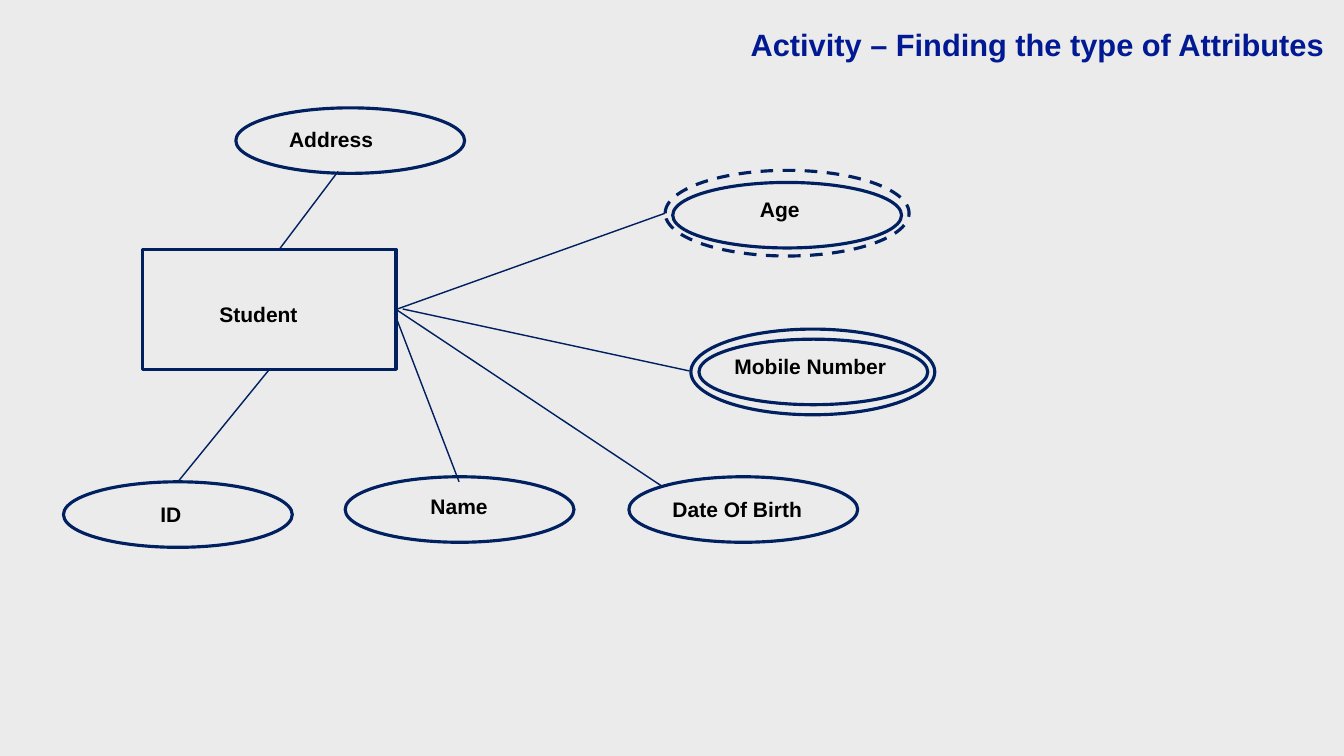
"""Build the slide that shows a student entity and its attribute types."""
from pptx import Presentation
from pptx.dml.color import RGBColor
from pptx.enum.dml import MSO_LINE
from pptx.enum.shapes import MSO_CONNECTOR as Link, MSO_SHAPE as Shape
from pptx.enum.text import MSO_ANCHOR as Anchor, PP_ALIGN as Align
from pptx.util import Pt
from lxml.etree import SubElement
from pptx.oxml.ns import qn

PX = 9144
PAPER = RGBColor(0xEB, 0xEB, 0xEB)
NAVY = RGBColor(0x00, 0x20, 0x60)
BLUE = RGBColor(0x01, 0x19, 0x93)
BLACK = RGBColor(0x00, 0x00, 0x00)
INSET = 6
OVAL = (454, 130)
OUTER_OVAL = (484, 170)
LABEL_HEIGHT = 62


def write_text(box, text, align, size, color, frame_format):
    frame = box.text_frame
    frame_values = {"word_wrap": True, "margin_left": INSET * PX, "margin_right": INSET * PX,
                    "margin_top": INSET * PX, "margin_bottom": INSET * PX, **frame_format}
    for name, value in frame_values.items():
        setattr(frame, name, value)
    para = frame.paragraphs[0]
    para.alignment = align
    span = para.add_run()
    span.text = text
    for name, value in {"name": "Arial", "size": Pt(size), "bold": True}.items():
        setattr(span.font, name, value)
    span.font.color.rgb = color


def add_outline(kind, left, top, width, height):
    outline = page.shapes.add_shape(kind, left * PX, top * PX, width * PX, height * PX)
    outline.shadow.inherit = False
    outline.fill.background()
    outline.line.color.rgb = NAVY
    outline.line.width = Pt(4.5)
    return outline


deck = Presentation()
deck.slide_width, deck.slide_height = 2667 * PX, 1500 * PX
page = deck.slides.add_slide(deck.slide_layouts[5])
page.background.fill.solid()
page.background.fill.fore_color.rgb = PAPER

title = page.shapes.title
for name, value in {"left": 973, "top": 41, "width": 1662, "height": 159}.items():
    setattr(title, name, value * PX)
write_text(title, "Activity – Finding the type of Attributes", Align.RIGHT, 44, BLUE,
           {"vertical_anchor": Anchor.TOP, "margin_top": 10 * PX})

student = add_outline(Shape.FLOWCHART_PROCESS, 283, 495, 503, 238)
derived_ring = add_outline(Shape.OVAL, 1320, 338, *OUTER_OVAL)
derived_ring.line.dash_style = MSO_LINE.DASH
multivalued_ring = add_outline(Shape.OVAL, 1371, 653, *OUTER_OVAL)

attribute_ovals = [(1387, 673), (1248, 946), (685, 946), (126, 956), (468, 214), (1335, 362)]
for left, top in attribute_ovals:
    add_outline(Shape.OVAL, left, top, *OVAL)

RIGHT_SIDE, BOTTOM_SIDE = 3, 2
links = [
    ((786, 614), (1320, 423), RIGHT_SIDE),
    ((799, 613), (1368, 736), None),
    ((786, 614), (1314, 965), RIGHT_SIDE),
    ((783, 622), (911, 956), None),
    ((535, 733), (353, 956), BOTTOM_SIDE),
    ((671, 340), (554, 495), None),
]
for start, end, side in links:
    link = page.shapes.add_connector(Link.STRAIGHT, *(value * PX for value in start + end))
    if side is not None:
        link.begin_connect(student, side)
    link.line.color.rgb = NAVY
    link.line.width = Pt(2)
    SubElement(link._element.spPr, qn("a:effectLst"))

labels = [
    ("Student", 330, 592, 366, 0),
    ("Name", 762, 974, 366, 68),
    ("Mobile Number", 1443, 695, 330, 0),
    ("Date Of Birth", 1288, 980, 366, 16),
    ("Age", 1371, 383, 366, 13),
    ("ID", 181, 990, 366, 50),
    ("Address", 482, 244, 366, 16),
]
for text, left, top, width, indent in labels:
    label = page.shapes.add_textbox(left * PX, top * PX, width * PX, LABEL_HEIGHT * PX)
    write_text(label, text, Align.CENTER, 30, BLACK,
               {"vertical_anchor": Anchor.MIDDLE, "margin_right": (INSET + indent) * PX})

deck.save("out.pptx")
